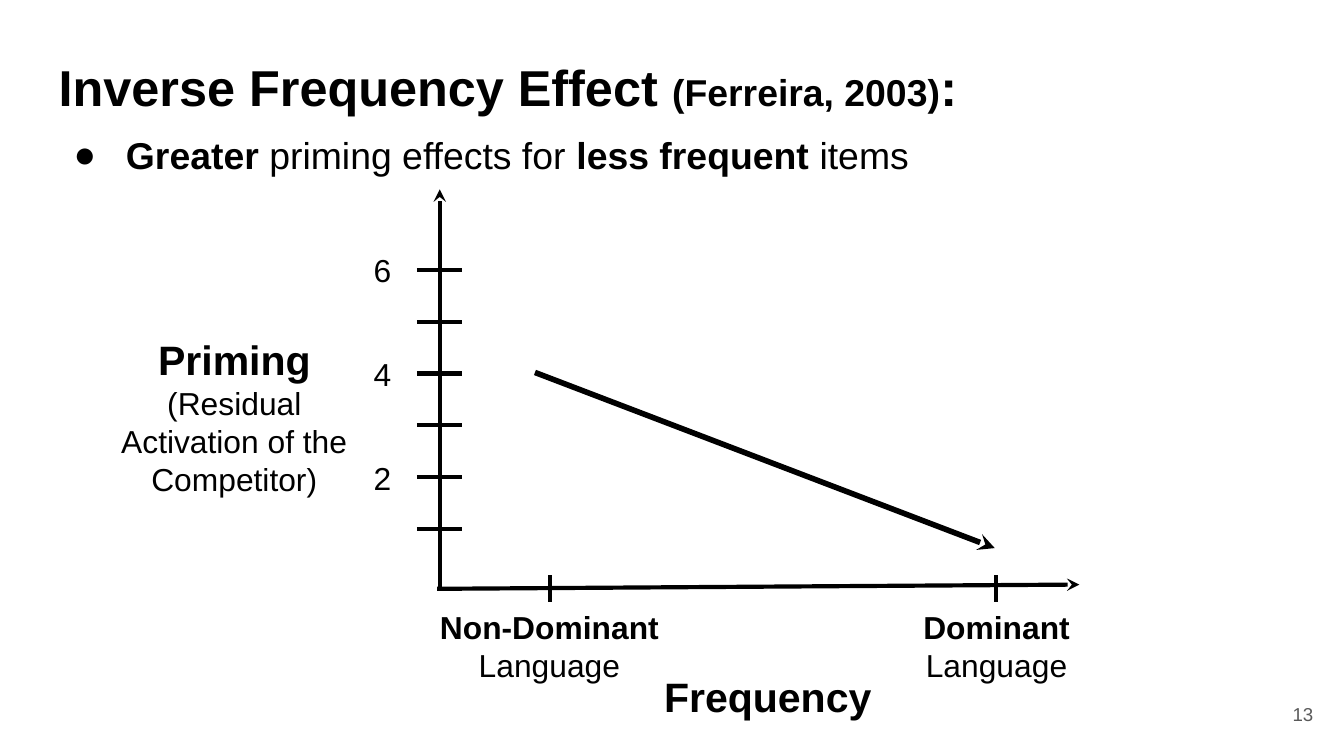
from lxml.etree import SubElement
from pptx import Presentation
from pptx.dml.color import RGBColor
from pptx.enum.shapes import MSO_CONNECTOR
from pptx.enum.text import MSO_ANCHOR, MSO_AUTO_SIZE, PP_ALIGN
from pptx.oxml.ns import qn
from pptx.util import Cm, Pt

COLORS = {"ink": "000000", "page_number": "595959", "background": "FFFFFF"}
FONT = "Arial"
INSET = 0.25
AXIS_X, AXIS_Y = 8.31, 11.13
TICK_TOP, TICK_STEP, TICK_HALF = 5.1, 0.98, 0.43


def fill_text(shape, area, runs, align=PP_ALIGN.LEFT, anchor=MSO_ANCHOR.TOP,
              spacing=1.0, color="ink"):
    shape.left, shape.top, shape.width, shape.height = map(Cm, area)
    frame = shape.text_frame
    frame.word_wrap = True
    frame.auto_size = MSO_AUTO_SIZE.NONE
    frame.vertical_anchor = anchor
    frame.margin_left = frame.margin_right = Cm(INSET)
    frame.margin_top = frame.margin_bottom = Cm(INSET)
    para = frame.paragraphs[0]
    para.alignment = align
    para.line_spacing = spacing
    para.space_before = para.space_after = Pt(0)
    for text, size, bold in runs:
        span = para.add_run()
        span.text = text
        span.font.name = FONT
        span.font.size = Pt(size)
        span.font.bold = bold
        span.font.color.rgb = RGBColor.from_string(COLORS[color])
    return para


def add_label(page, area, runs, **options):
    box = page.shapes.add_textbox(0, 0, 0, 0)
    return fill_text(box, area, runs, **options)


def add_line(page, start, end, width=2.25, arrow=False):
    line = page.shapes.add_connector(
        MSO_CONNECTOR.STRAIGHT, *map(Cm, (*start, *end)))
    line.line.color.rgb = RGBColor.from_string(COLORS["ink"])
    line.line.width = Pt(width)
    properties = line._element.spPr
    if arrow:
        SubElement(properties.find(qn("a:ln")), qn("a:tailEnd"), type="stealth")
    SubElement(properties, qn("a:effectLst"))


def set_bullet(para, margin, indent):
    properties = para._p.get_or_add_pPr()
    properties.set("marL", str(Cm(margin)))
    properties.set("indent", str(Cm(indent)))
    color = SubElement(properties, qn("a:buClr"))
    SubElement(color, qn("a:srgbClr"), val=COLORS["ink"])
    SubElement(properties, qn("a:buFont"), typeface=FONT)
    SubElement(properties, qn("a:buChar"), char="●")


def add_heading(page):
    title, body = page.placeholders
    fill_text(title, (0.86, 0.64, 25.07, 1.5),
              [("Inverse Frequency Effect ", 27, True),
               ("(Ferreira, 2003)", 20, True), (":", 27, True)], spacing=1.15)
    para = fill_text(body, (0.86, 2.13, 22.66, 1.37),
                     [("Greater", 20, True), (" priming effects for ", 20, False),
                      ("less frequent", 20, True), (" items", 20, False)],
                     spacing=1.15)
    set_bullet(para, 1.27, -0.99)


def add_priming_axis(page):
    add_line(page, (AXIS_X, AXIS_Y), (AXIS_X, 3.58), arrow=True)
    for index in range(6):
        y = TICK_TOP + index * TICK_STEP
        add_line(page, (AXIS_X - TICK_HALF, y), (AXIS_X + TICK_HALF, y))
        if index % 2 == 0:
            add_label(page, (6.81, y - 0.6, 1.07, 1.07),
                      [(str(6 - index), 17, False)])
    add_label(page, (1.8, 6.07, 5.26, 3.56),
              [("Priming ", 22, True),
               ("(Residual Activation of the Competitor)", 17, False)],
              align=PP_ALIGN.CENTER)


def add_frequency_axis(page):
    add_line(page, (8.26, AXIS_Y), (20.4, 11.05), arrow=True)
    categories = [("Non-Dominant ", 10.39, 8.05, 4.67),
                  ("Dominant ", 18.82, 17.12, 3.43)]
    for name, tick_x, left, width in categories:
        add_line(page, (tick_x, 10.87), (tick_x, 11.38))
        add_label(page, (left, 11.23, width, 1.7),
                  [(name, 17, True), ("Language", 17, False)],
                  align=PP_ALIGN.CENTER)
    add_label(page, (11.99, 12.45, 5.26, 1.6), [("Frequency ", 22, True)],
              align=PP_ALIGN.CENTER)


def main():
    deck = Presentation()
    deck.slide_width, deck.slide_height = Cm(25.4), Cm(14.29)
    page = deck.slides.add_slide(deck.slide_layouts[1])
    page.background.fill.solid()
    page.background.fill.fore_color.rgb = RGBColor.from_string(COLORS["background"])
    add_heading(page)
    add_priming_axis(page)
    add_frequency_axis(page)
    add_line(page, (10.11, 7.04), (18.8, 10.36), width=3, arrow=True)
    add_label(page, (23.55, 12.95, 1.52, 1.09), [("13", 10, False)],
              align=PP_ALIGN.RIGHT, anchor=MSO_ANCHOR.MIDDLE, color="page_number")
    deck.save("out.pptx")


if __name__ == "__main__":
    main()
